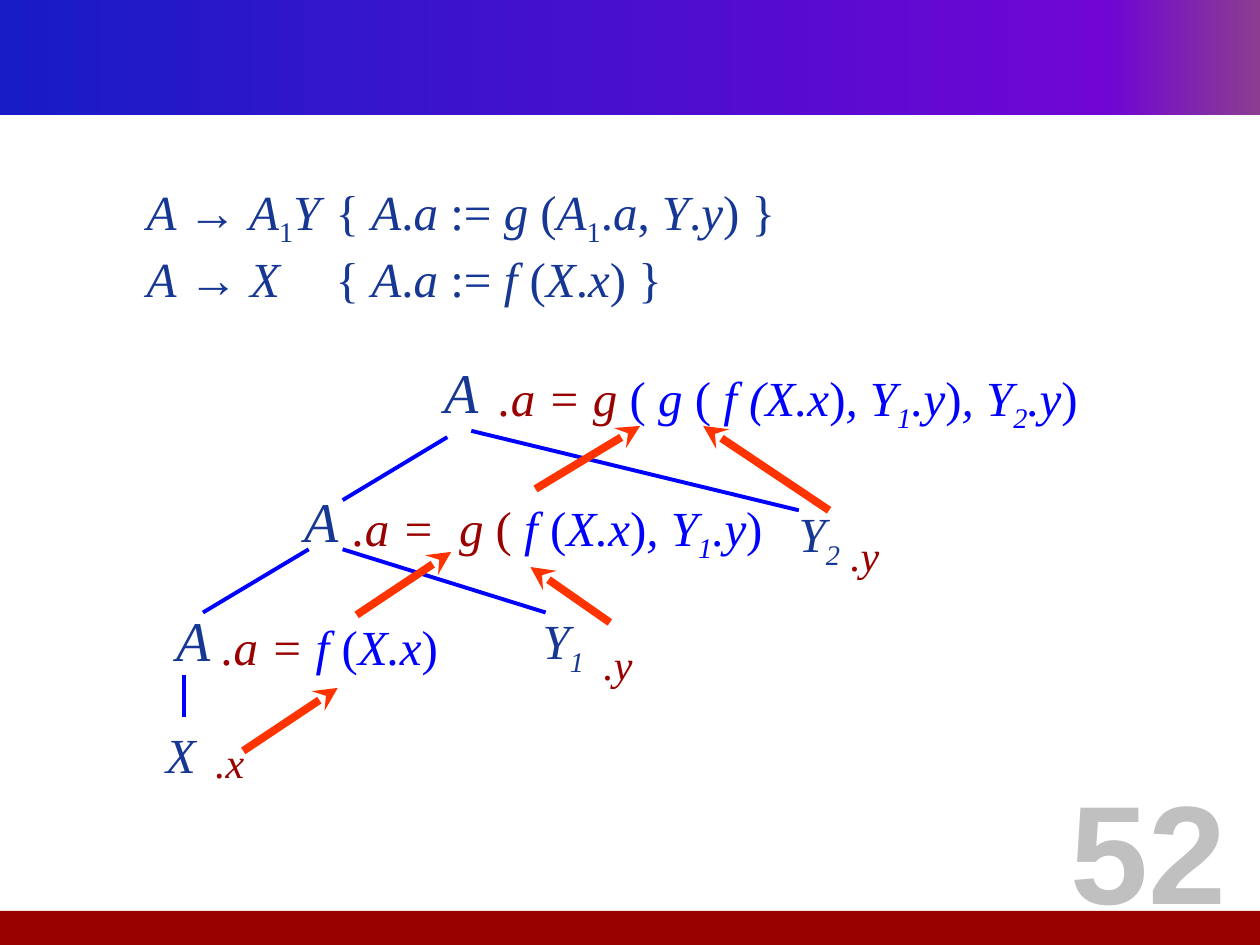
from typing import NamedTuple

from lxml import etree
from pptx import Presentation
from pptx import util as u
from pptx.dml.color import RGBColor
from pptx.enum import shapes, text
from pptx.oxml import ns

NAVY = RGBColor(0x16, 0x37, 0x94)
BLUE = RGBColor(0x00, 0x00, 0xFF)
DARK_RED = RGBColor(0x99, 0x00, 0x00)
ORANGE = RGBColor(0xFF, 0x33, 0x00)
GREY = RGBColor(0xC0, 0xC0, 0xC0)
BAND_STOPS = [(0, "181CC7"), (88, "7005D4"), (100, "8C3D91")]
SERIF = "Times New Roman"
RULE_INDENT = 35


class Run(NamedTuple):
    text: str
    colour: RGBColor = NAVY
    italic: bool = True
    sub: bool = False


class Label(NamedTuple):
    left: float
    top: float
    width: float
    height: float
    size: float
    runs: list[Run]


class Edge(NamedTuple):
    x1: float
    y1: float
    x2: float
    y2: float


class Rule(NamedTuple):
    action_tab: float
    runs: list[Run]


def mixed(source: str, colour: RGBColor = NAVY, upright_subs: bool = False) -> list[Run]:
    """Split at '|': plain parts are italic, '^' marks upright, '_' subscript."""
    runs = []
    for part in source.split("|"):
        sub = part.startswith("_")
        upright = part.startswith("^") or (sub and upright_subs)
        runs.append(Run(part.lstrip("^_"), colour, not upright, sub))
    return runs


def add_runs(paragraph, runs: list[Run], size: float) -> None:
    for item in runs:
        run = paragraph.add_run()
        run.text = item.text
        run.font.name = SERIF
        run.font.size = u.Pt(size)
        run.font.italic = item.italic
        run.font.color.rgb = item.colour
        if item.sub:
            run.font._element.set("baseline", "-25000")


def add_box(slide, left: float, top: float, width: float, height: float, wrap: bool):
    box = slide.shapes.add_textbox(u.Pt(left), u.Pt(top), u.Pt(width), u.Pt(height))
    box.text_frame.word_wrap = wrap
    return box.text_frame


def add_label(slide, label: Label) -> None:
    frame = add_box(slide, label.left, label.top, label.width, label.height, False)
    add_runs(frame.paragraphs[0], label.runs, label.size)


def add_rule(paragraph, rule: Rule) -> None:
    properties = paragraph._p.get_or_add_pPr()
    properties.set("marL", str(u.Pt(RULE_INDENT)))
    properties.set("indent", "0")
    tabs = etree.SubElement(properties, ns.qn("a:tabLst"))
    etree.SubElement(tabs, ns.qn("a:tab"), pos=str(u.Pt(rule.action_tab)), algn="l")
    add_runs(paragraph, rule.runs, 28)


def add_edge(slide, edge: Edge, colour: RGBColor, width: float, arrow: bool = False) -> None:
    line = slide.shapes.add_connector(
        shapes.MSO_CONNECTOR.STRAIGHT, *(u.Pt(value) for value in edge))
    line.line.color.rgb = colour
    line.line.width = u.Pt(width)
    if arrow:
        etree.SubElement(line.line._get_or_add_ln(), ns.qn("a:tailEnd"), type="stealth")
    etree.SubElement(line._element.spPr, ns.qn("a:effectLst"))


def add_band(slide, left: float, top: float, width: float, height: float):
    band = slide.shapes.add_shape(
        shapes.MSO_SHAPE.RECTANGLE, u.Pt(left), u.Pt(top), u.Pt(width), u.Pt(height))
    band.shadow.inherit = False
    band.line.fill.background()
    return band


def fill_gradient(band, stops: list[tuple[int, str]]) -> None:
    band.fill.gradient()
    band.fill.gradient_angle = 0
    stop_list = band._element.spPr.find(".//" + ns.qn("a:gsLst"))
    for old in list(stop_list):
        stop_list.remove(old)
    for percent, colour in stops:
        stop = etree.SubElement(stop_list, ns.qn("a:gs"), pos=str(percent * 1000))
        etree.SubElement(stop, ns.qn("a:srgbClr"), val=colour)


# Grammar rules with their semantic actions
RULES = [
    Rule(205, mixed("A |^→ |A|_1|Y|^\t{ |A|^.|a|^ := |g|^ (|A|_1|^.|a|^, |Y|^.|y|^) }",
                    upright_subs=True)),
    Rule(209, mixed("A|^ → |X|^\t{ |A|^.|a|^ := |f |^(|X|^.|x|^) }")),
]

# Parse tree
NODES = [
    Label(303, 345.6, 39.6, 41, 28, mixed("Y|_1")),
    Label(87.8, 410.4, 31.7, 41, 28, mixed("X")),
    Label(449.3, 284.4, 39.6, 41, 28, mixed("Y|_2")),
] + [Label(left, top, 33.8, 45.4, 32, mixed("A"))
     for left, top in [(247, 200.9), (167, 274.3), (93.6, 342.7)]]
BRANCHES = [
    Edge(255.6, 249.8, 195.8, 285.8),
    Edge(176.4, 313.9, 116, 350),
    Edge(105, 386, 105, 409.7),
    Edge(195.8, 313.9, 311.8, 350),
    Edge(269.3, 246.2, 456.5, 291.6),
]

# Synthesized attribute values and the flow between them
ATTRIBUTES = [
    Label(277.9, 206.6, 349.2, 41, 28, mixed(".a = g ", DARK_RED) + mixed(
        "^(| g |^(| f (X.x|^)|, Y|_1|.y|^)|, Y|_2|.y|^)", BLUE)),
    Label(194.4, 280.8, 250.6, 41, 28, mixed(".a =  g |^(", DARK_RED) + mixed(
        " f |^(|X.x|^)|, Y|_1|.y|^)", BLUE)),
    Label(119.5, 348.5, 138.2, 41, 28, mixed(".a =", DARK_RED) + mixed(
        " f |^(|X.x|^)", BLUE)),
] + [Label(left, top, 31, 36, 24, mixed(name, DARK_RED))
     for left, top, name in [(337.7, 361.4, ".y"), (478.8, 298.8, ".y"),
                             (115.9, 417.6, ".x")]]
FLOWS = [
    Edge(348.5, 355.7, 303.1, 324),
    Edge(203.8, 351.4, 257.8, 315.4),
    Edge(473.8, 291.6, 401.8, 243.4),
    Edge(306, 279.4, 365.8, 243.4),
    Edge(139, 429.1, 193, 393.1),
]


def main() -> None:
    deck = Presentation()
    deck.slide_width, deck.slide_height = u.Pt(720), u.Pt(540)
    slide = deck.slides.add_slide(deck.slide_layouts[6])

    # Top and bottom bands
    fill_gradient(add_band(slide, 0, 0, 720, 65.5), BAND_STOPS)
    footer = add_band(slide, -3, 520.5, 723, 19.5)
    footer.fill.solid()
    footer.fill.fore_color.rgb = DARK_RED

    grammar = add_box(slide, 41.75, 100, 636, 74, True)
    for index, rule in enumerate(RULES):
        add_rule(grammar.add_paragraph() if index else grammar.paragraphs[0], rule)

    for branch in BRANCHES:
        add_edge(slide, branch, BLUE, 2.25)
    for label in NODES + ATTRIBUTES:
        add_label(slide, label)
    for flow in FLOWS:
        add_edge(slide, flow, ORANGE, 4.5, arrow=True)

    # Slide number
    number = add_box(slide, 592.5, 434.2, 127.5, 102.2, True)
    number.vertical_anchor = text.MSO_ANCHOR.BOTTOM
    number.paragraphs[0].alignment = text.PP_ALIGN.CENTER
    digits = number.paragraphs[0].add_run()
    digits.text = "52"
    digits.font.name = "Arial"
    digits.font.size = u.Pt(80)
    digits.font.bold = True
    digits.font.color.rgb = GREY

    deck.save("out.pptx")


if __name__ == "__main__":
    main()
